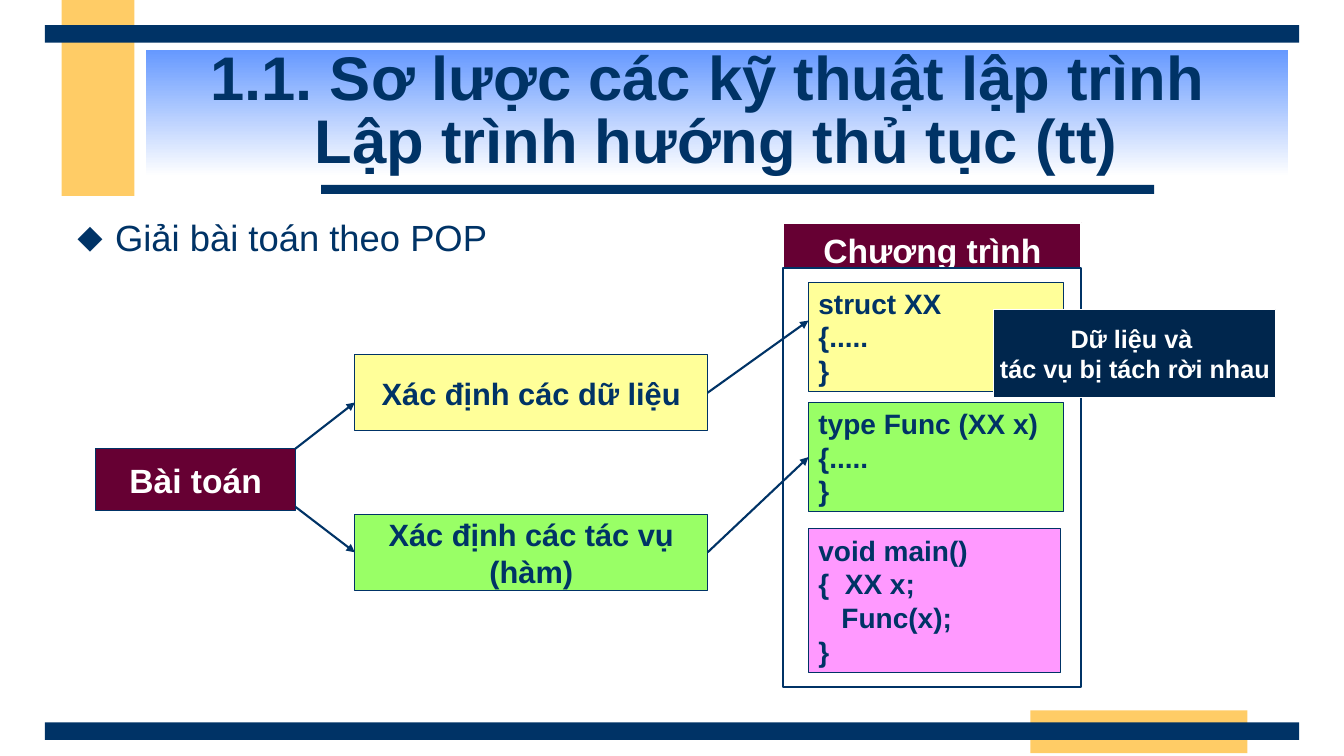
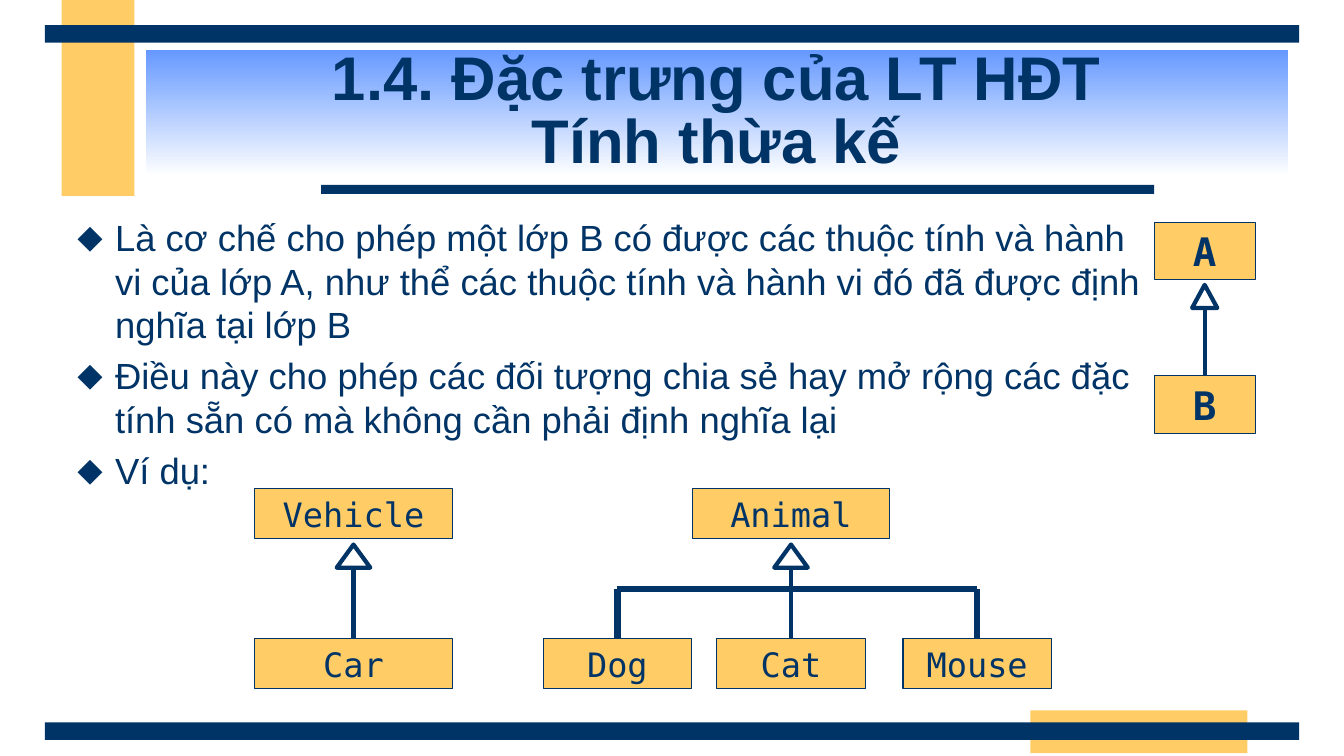
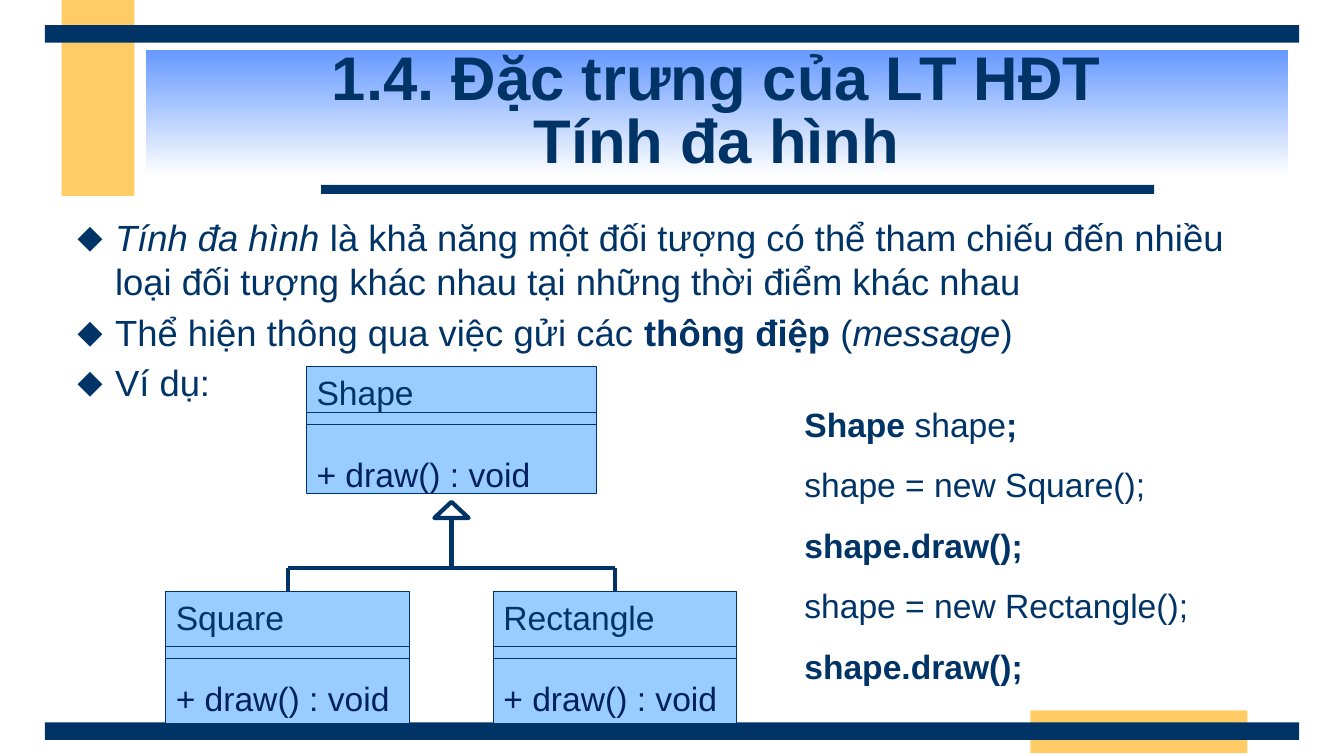
import pptx
import pptx.util
import pptx.dml.color
import pptx.enum.shapes
import pptx.enum.text
import pptx.oxml
import pptx.oxml.ns
import lxml.etree

Pt = pptx.util.Pt
RGBColor = pptx.dml.color.RGBColor
MSO_SHAPE = pptx.enum.shapes.MSO_SHAPE
ALIGN = pptx.enum.text.PP_ALIGN
ANCHOR = pptx.enum.text.MSO_ANCHOR
qn = pptx.oxml.ns.qn

NAVY = RGBColor(0x00, 0x33, 0x66)
DARK_NAVY = RGBColor(0x00, 0x26, 0x4D)
INDIGO = RGBColor(0x00, 0x20, 0x60)
ORANGE = RGBColor(0xFF, 0xCC, 0x66)
BLUE = RGBColor(0x66, 0x99, 0xFF)
SKY = RGBColor(0x99, 0xCC, 0xFF)
WINE = RGBColor(0x66, 0x00, 0x33)
YELLOW = RGBColor(0xFF, 0xFF, 0x99)
GREEN = RGBColor(0x99, 0xFF, 0x66)
PINK = RGBColor(0xFF, 0x99, 0xFF)
WHITE = RGBColor(0xFF, 0xFF, 0xFF)

SANS = "Arial"
MONO = "DejaVu Sans Mono"
TOP, LEFT, BOTTOM, RIGHT = range(4)

BANDS = [
    (44, 0, 52, 140, ORANGE),
    (736, 507.5, 155, 30.5, ORANGE),
    (229.5, 132, 595, 6.5, NAVY),
    (32, 516, 896, 12.5, NAVY),
    (32, 18, 896, 12.5, NAVY),
]


class Deck:
    def __init__(self):
        self.prs = pptx.Presentation()
        self.prs.slide_width, self.prs.slide_height = Pt(960), Pt(540)
        self.layout = self.prs.slide_layouts[1]
        for ph in list(self.layout.placeholders)[2:]:
            ph.element.getparent().remove(ph.element)
        self.s = None

    def slide(self, title, bullets, body_width=864):
        first = self.s is None
        self.s = self.prs.slides.add_slide(self.layout)
        if first:
            self.bands()
        self.title(title)
        self.body(bullets, body_width)

    def bands(self):
        tree = self.layout.shapes.element
        for i, (x, y, w, h, color) in enumerate(BANDS):
            sp = self.shape(MSO_SHAPE.RECTANGLE, x, y, w, h, color, line_w=0)
            tree.insert(2 + i, sp.element)

    def place(self, sp, x, y, w, h):
        sp.left, sp.top, sp.width, sp.height = Pt(x), Pt(y), Pt(w), Pt(h)

    def run(self, p, text, style="", size=24, color=NAVY, font=SANS):
        r = p.add_run()
        r.text = text
        r.font.name, r.font.size = font, Pt(size)
        r.font.color.rgb = color
        r.font.bold, r.font.italic = "b" in style, "i" in style

    def paragraphs(self, tf, paras, style="", **look):
        for i, para in enumerate(paras):
            p = tf.paragraphs[0] if i == 0 else tf.add_paragraph()
            for text, st in [(para, style)] if isinstance(para, str) else para:
                self.run(p, text, st, **look)
        return tf.paragraphs

    def title(self, lines):
        sp = self.s.shapes.title
        self.place(sp, 104, 36, 816, 90)
        sp.fill.gradient()
        sp.fill.gradient_angle = 270
        for stop, color in zip(sp.fill.gradient_stops, (BLUE, WHITE)):
            stop.color.rgb = color
        tf = sp.text_frame
        tf.auto_size = pptx.enum.text.MSO_AUTO_SIZE.NONE
        tf.vertical_anchor = ANCHOR.MIDDLE
        p = tf.paragraphs[0]
        p.alignment, p.line_spacing = ALIGN.CENTER, 0.85
        for i, line in enumerate(lines):
            if i:
                p.add_line_break()
            self.run(p, line, "b", 44)

    def body(self, bullets, width):
        sp = self.s.placeholders[1]
        self.place(sp, 48, 150, width, 354)
        tf = sp.text_frame
        tf.auto_size = pptx.enum.text.MSO_AUTO_SIZE.NONE
        for p in self.paragraphs(tf, bullets, size=26):
            self.indent(p, 27, -27)
            pPr = p._p.get_or_add_pPr()
            clr = lxml.etree.SubElement(pPr, qn("a:buClr"))
            lxml.etree.SubElement(clr, qn("a:srgbClr"), val=str(NAVY))
            lxml.etree.SubElement(pPr, qn("a:buFont"), typeface=SANS)
            lxml.etree.SubElement(pPr, qn("a:buChar"), char="⬥")

    def indent(self, p, left, first=0):
        pPr = p._p.get_or_add_pPr()
        pPr.set("marL", str(Pt(left)))
        pPr.set("indent", str(Pt(first)))

    def shape(self, kind, x, y, w, h, fill=None, line=NAVY, line_w=0.75):
        sp = self.s.shapes.add_shape(kind, Pt(x), Pt(y), Pt(w), Pt(h))
        sp.shadow.inherit = False
        if fill is None:
            sp.fill.background()
        else:
            sp.fill.solid()
            sp.fill.fore_color.rgb = fill
        if line_w:
            sp.line.color.rgb, sp.line.width = line, Pt(line_w)
        else:
            sp.line.fill.background()
        return sp

    def box(self, x, y, w, h, fill, paras=(), style="", align=ALIGN.CENTER,
            line=NAVY, line_w=0.75, **look):
        sp = self.shape(MSO_SHAPE.RECTANGLE, x, y, w, h, fill, line, line_w)
        tf = sp.text_frame
        tf.word_wrap = align == ALIGN.LEFT
        tf.vertical_anchor = ANCHOR.MIDDLE
        for p in self.paragraphs(tf, paras, style, **look):
            p.alignment = align
        return sp

    def code_box(self, y, w, h, fill, lines):
        return self.box(577.5, y, w, h, fill, lines, "b", ALIGN.LEFT,
                        line_w=0.25, size=20)

    def class_box(self, x, y, w, h, name, divider):
        sp = self.box(x, y, w, h, SKY, [name, "+ draw() : void"],
                      align=ALIGN.LEFT)
        tf = sp.text_frame
        tf.vertical_anchor = ANCHOR.TOP
        p = tf.paragraphs[1]
        p.space_before = Pt(29.5)
        p.runs[0].font.color.rgb = INDIGO
        for dy in (divider, divider + 8.5):
            self.line((x, y + dy), (x + w, y + dy), 0.75)
        return sp

    def line(self, start, end, width, arrow=False):
        free = [isinstance(e[0], (int, float)) for e in (start, end)]
        a, b = [e if f else (0, 0) for e, f in zip((start, end), free)]
        c = self.s.shapes.add_connector(
            pptx.enum.shapes.MSO_CONNECTOR.STRAIGHT,
            Pt(a[0]), Pt(a[1]), Pt(b[0]), Pt(b[1]))
        if not free[0]:
            c.begin_connect(*start)
        if not free[1]:
            c.end_connect(*end)
        c.line.color.rgb, c.line.width = NAVY, Pt(width)
        spPr = c.element.spPr
        if arrow:
            lxml.etree.SubElement(spPr.find(qn("a:ln")), qn("a:tailEnd"),
                                  type="triangle")
        lxml.etree.SubElement(spPr, qn("a:effectLst"))

    def triangle(self, center, y, w, h):
        self.shape(MSO_SHAPE.ISOSCELES_TRIANGLE, center - w / 2, y, w, h,
                   line_w=3)

    def inherit(self, child, center, y, w=24, h=16.5):
        self.line((child, TOP), (center, y + h), 3)
        self.triangle(center, y, w, h)

    def text(self, x, y, w, h, paras, spacing):
        tf = self.s.shapes.add_textbox(Pt(x), Pt(y), Pt(w), Pt(h)).text_frame
        tf.word_wrap = True
        for p in self.paragraphs(tf, paras):
            p.line_spacing = spacing


def procedural(d):
    d.slide(["1.1. Sơ lược các kỹ thuật lập trình ",
             "Lập trình hướng thủ tục (tt)"], ["Giải bài toán theo POP"])
    d.box(68.5, 320.5, 142.5, 44.5, WINE, ["Bài toán"], "b", color=WHITE)
    data = d.box(253.5, 253.5, 252, 54, YELLOW, ["Xác định các dữ liệu"],
                 "b", size=22)
    tasks = d.box(253.5, 367.5, 252, 54, GREEN,
                  ["Xác định các tác vụ", "(hàm)"], "b", size=22)
    d.box(559.5, 159, 213, 39.5, WINE, ["Chương trình"], "b",
          line=WHITE, line_w=1.5, color=WHITE)
    d.box(559.5, 191.5, 213, 299.5, WHITE, line_w=1.5)
    d.code_box(201.5, 182, 78, YELLOW, ["struct XX", "{.....", "}"])
    func = d.code_box(287.5, 182, 78, GREEN,
                      ["type Func (XX x)", "{.....", "}"])
    main_box = d.code_box(377.5, 180, 103, PINK,
                          ["void main()", "{  XX x;", "Func(x);", "}"])
    d.indent(main_box.text_frame.paragraphs[2], 16.5)
    d.line((211, 320.5), (253.5, 287.5), 1.5, True)
    d.line((data, RIGHT), (577.5, 229), 1.5, True)
    d.line((211, 362), (tasks, LEFT), 1.5, True)
    d.line((tasks, RIGHT), (func, LEFT), 1.5, True)
    d.box(710, 221, 201.5, 63, DARK_NAVY,
          ["Dữ liệu và ", "tác vụ bị tách rời nhau"], "b",
          line=WHITE, size=18, color=WHITE)


def inheritance(d):
    d.slide(["1.4. Đặc trưng của LT HĐT", "Tính thừa kế"], [
        "Là cơ chế cho phép một lớp B có được các thuộc tính và hành vi của "
        "lớp A, như thể các thuộc tính và hành vi đó đã được định nghĩa tại "
        "lớp B",
        "Điều này cho phép các đối tượng chia sẻ hay mở rộng các đặc tính "
        "sẵn có mà không cần phải định nghĩa lại",
        "Ví dụ:"], 775.5)
    boxes = {}
    for name, x, y, w in [("Car", 182, 456, 141), ("Dog", 388, 456, 106),
                          ("Cat", 512, 456, 106), ("Mouse", 645, 456, 106),
                          ("Vehicle", 182, 349, 141),
                          ("Animal", 494.5, 349, 141)]:
        boxes[name] = d.box(x, y, w, 36, ORANGE, [name], font=MONO)
    for name, x in (("Dog", 441), ("Mouse", 698)):
        d.line((boxes[name], TOP), (x, 420.5), 4.5)
    d.line((441, 420.5), (698, 420.5), 4.5)
    d.inherit(boxes["Car"], 252.5, 389)
    d.inherit(boxes["Cat"], 565, 389)
    for name, y in (("A", 159), ("B", 268.5)):
        boxes[name] = d.box(824.5, y, 72, 41, ORANGE, [name], "b",
                            size=28, font=MONO)
    d.inherit(boxes["B"], 860.5, 203.5, 18)


def polymorphism(d):
    d.slide(["1.4. Đặc trưng của LT HĐT", "Tính đa hình"], [
        [("Tính đa hình ", "i"),
         ("là khả năng một đối tượng có thể tham chiếu đến nhiều loại đối "
          "tượng khác nhau tại những thời điểm khác nhau", "")],
        [("Thể hiện thông qua việc gửi các ", ""), ("thông điệp", "b"),
         (" (", ""), ("message", "i"), (")", "")],
        "Ví dụ:"])
    d.text(567.5, 270.5, 318, 225, [
        [("Shape ", "b"), ("shape", ""), (";", "b")],
        "shape = new Square();",
        [("shape.draw();", "b")],
        "shape = new Rectangle();",
        [("shape.draw();", "b")]], 1.5)
    d.triangle(322.5, 358.5, 24.5, 11.5)
    d.class_box(219, 262, 207, 90.5, "Shape", 33)
    for name, x in (("Square", 118.5), ("Rectangle", 352.5)):
        child = d.class_box(x, 422.5, 174, 94.5, name, 39.5)
        d.line((child, TOP), (x + 87, 406), 3)
    d.line((205.5, 406), (439.5, 406), 3)
    d.line((322.5, 406), (322.5, 370), 3)


def main():
    d = Deck()
    procedural(d)
    inheritance(d)
    polymorphism(d)
    d.prs.save("out.pptx")


if __name__ == "__main__":
    main()
